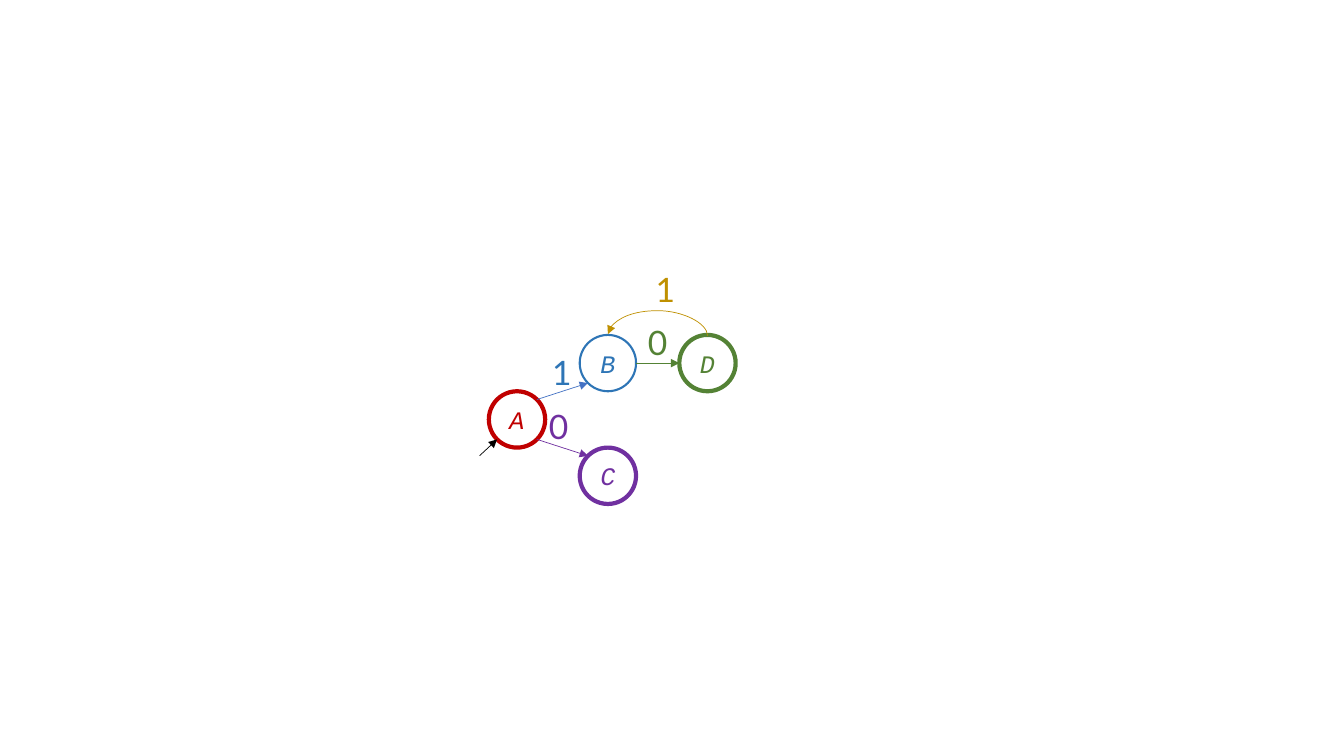
from math import cos, radians, sin

from lxml.etree import SubElement
from pptx import Presentation
from pptx.dml.color import RGBColor
from pptx.enum.shapes import MSO_CONNECTOR, MSO_SHAPE
from pptx.enum.text import MSO_ANCHOR, PP_ALIGN
from pptx.oxml.ns import qn
from pptx.util import Cm, Pt

RED, BLUE, PURPLE, GREEN = "C00000", "2E75B6", "7030A0", "548235"
ARROW_BLUE, GOLD, BLACK, WHITE = "4472C4", "BF9000", "000000", "FFFFFF"
RADIUS = 0.71
LABEL_HEIGHT = 1.27
ROW_STEP = 2 * RADIUS


def color(hex_value):
    return RGBColor.from_string(hex_value)


def add_text(shape, text, font_name, size, hex_value, italic=None):
    paragraph = shape.text_frame.paragraphs[0]
    paragraph.alignment = PP_ALIGN.CENTER
    run = paragraph.add_run()
    run.text = text
    run.font.name = font_name
    run.font.size = Pt(size)
    run.font.italic = italic
    run.font.color.rgb = color(hex_value)


def add_state(slide, name, center, hex_value, line_width):
    x, y = center
    shape = slide.shapes.add_shape(
        MSO_SHAPE.OVAL, Cm(x - RADIUS), Cm(y - RADIUS), Cm(2 * RADIUS), Cm(2 * RADIUS))
    shape.shadow.inherit = False
    shape.fill.solid()
    shape.fill.fore_color.rgb = color(WHITE)
    shape.line.color.rgb = color(hex_value)
    shape.line.width = Pt(line_width)
    shape.text_frame.vertical_anchor = MSO_ANCHOR.MIDDLE
    add_text(shape, name, "Courier New", 18, hex_value, italic=True)


def add_label(slide, text, center, width, hex_value):
    x, y = center
    box = slide.shapes.add_textbox(
        Cm(x - width / 2), Cm(y - LABEL_HEIGHT / 2), Cm(width), Cm(LABEL_HEIGHT))
    box.text_frame.word_wrap = False
    add_text(box, text, "Lato", 24, hex_value)


def add_arrow(slide, start, end, hex_value, kind=MSO_CONNECTOR.STRAIGHT):
    connector = slide.shapes.add_connector(kind, *map(Cm, (*start, *end)))
    connector.line.color.rgb = color(hex_value)
    connector.line.width = Pt(0.5)
    properties = connector._element.spPr
    SubElement(properties.find(qn("a:ln")), qn("a:tailEnd"), type="triangle")
    SubElement(properties, qn("a:effectLst"))
    return connector


def add_return_arc(slide, start, end, rise, hex_value):
    """Curve leftwards over the top from start to end, as a turned connector."""
    thickness = 0.04
    middle, half_span = (start[0] + end[0]) / 2, (start[0] - end[0]) / 2
    connector = add_arrow(
        slide,
        (middle - thickness / 2, start[1] + half_span),
        (middle + thickness / 2, start[1] - half_span),
        hex_value, MSO_CONNECTOR.CURVE)
    properties = connector._element.spPr
    properties.find(qn("a:xfrm")).set("rot", str(270 * 60000))
    geometry = properties.find(qn("a:prstGeom"))
    adjustments = geometry.find(qn("a:avLst"))
    if adjustments is None:
        adjustments = SubElement(geometry, qn("a:avLst"))
    bend = round(rise / thickness * 100000)
    SubElement(adjustments, qn("a:gd"), name="adj1", fmla=f"val {bend}")


def rim(center, degrees):
    """Point on a state's circle, counted clockwise from the right."""
    angle = radians(degrees)
    return center[0] + RADIUS * cos(angle), center[1] + RADIUS * sin(angle)


def draw_automaton(slide, left, top):
    def at(x, y):
        return left + x, top + y

    middle_row = 3.92
    a = at(0.94, middle_row)
    b = at(3.23, middle_row - ROW_STEP)
    c = at(3.23, middle_row + ROW_STEP)
    d = at(5.74, middle_row - ROW_STEP)

    for name, center, hex_value, line_width in (
            ("A", a, RED, 3), ("B", b, BLUE, 1.5),
            ("C", c, PURPLE, 3), ("D", d, GREEN, 3)):
        add_state(slide, name, center, hex_value, line_width)

    entry = rim(a, 135)
    for start, end, hex_value in (
            (rim(a, -45), rim(b, 135), ARROW_BLUE),
            (rim(b, 0), rim(d, 180), GREEN),
            ((entry[0] - 0.44, entry[1] + 0.41), entry, BLACK),
            (rim(a, 45), rim(c, 225), PURPLE)):
        add_arrow(slide, start, end, hex_value)
    add_return_arc(slide, rim(d, -90), rim(b, -90), 0.63, GOLD)

    for text, center, width, hex_value in (
            ("1", at(1.97, 2.72), 0.79, BLUE),
            ("0", at(4.48, 1.96), 1, GREEN),
            ("1", at(4.58, 0.64), 0.79, GOLD),
            ("0", at(1.99, 4.09), 1, PURPLE)):
        add_label(slide, text, center, width, hex_value)


def main():
    presentation = Presentation()
    presentation.slide_width = Cm(33.87)
    presentation.slide_height = Cm(19.05)
    slide = presentation.slides.add_slide(presentation.slide_layouts[6])
    draw_automaton(slide, 12.09, 6.65)
    presentation.save("out.pptx")


if __name__ == "__main__":
    main()
